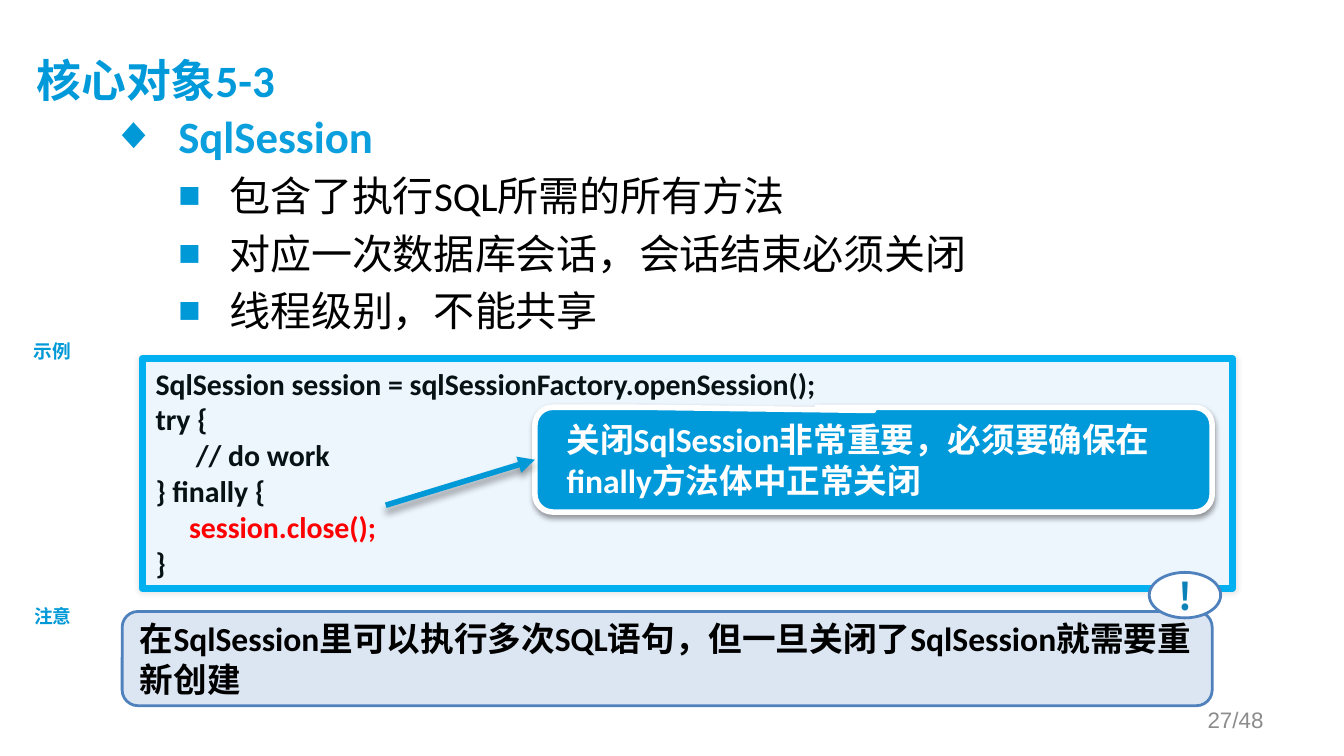
from lxml.etree import SubElement
from pptx import Presentation
from pptx.dml.color import RGBColor
from pptx.enum.shapes import MSO_CONNECTOR, MSO_SHAPE as Kind
from pptx.enum.text import MSO_ANCHOR as Anchor, MSO_AUTO_SIZE as Fit, PP_ALIGN as Align
from pptx.oxml.ns import qn
from pptx.util import Cm, Pt

HEX = {
    "blue": "0099D8", "title": "0099D9", "head": "0B9FDD", "call": "009ADA",
    "cyan": "00B0F0", "pale": "EDF5FD", "code": "071215", "red": "FF0000",
    "note": "DCE6F2", "edge": "4F81BD", "bang": "0C83B8", "grey": "8C8C8C",
    "black": "000000", "white": "FFFFFF",
}
CODE = """SqlSession session = sqlSessionFactory.openSession();
try {
      // do work
} finally {
     session.close();
}"""
POINTS = ["包含了执行SQL所需的所有方法", "对应一次数据库会话，会话结束必须关闭", "线程级别，不能共享"]


def rgb(name):
    return RGBColor.from_string(HEX[name])


def style(para, size, color, bold=True, face="Calibri"):
    for run in para.runs:
        font = run.font
        font.size, font.bold, font.name = Pt(size), bold, face
        font.color.rgb = rgb(color)


def shade(item, alpha, blur, dist, turn):
    """Give a shape or connector an outer shadow; call it after its line is set."""
    effect = SubElement(item._element.spPr, qn("a:effectLst"))
    outer = SubElement(effect, qn("a:outerShdw"), blurRad=str(Pt(blur)), dist=str(Pt(dist)),
                       dir=str(turn * 60000), rotWithShape="0")
    color = SubElement(outer, qn("a:srgbClr"), val=HEX["black"])
    SubElement(color, qn("a:alpha"), val=str(alpha * 1000))


def bullet(para, mark, left, hang, scale):
    props = para._p.get_or_add_pPr()
    props.set("marL", str(Cm(left)))
    props.set("indent", str(-Cm(hang)))
    SubElement(SubElement(props, qn("a:buClr")), qn("a:srgbClr"), val=HEX["blue"])
    SubElement(props, qn("a:buSzPct"), val=str(scale * 1000))
    SubElement(props, qn("a:buFont"), typeface="Arial")
    SubElement(props, qn("a:buChar"), char=mark)


def add_title(slide, text):
    title = slide.shapes.title
    title.left, title.top, title.width, title.height = Cm(0.69), Cm(0.58), Cm(22.73), Cm(1.96)
    frame = title.text_frame
    frame.text = text
    frame.auto_size, frame.vertical_anchor = Fit.NONE, Anchor.MIDDLE
    frame.margin_left = frame.margin_top = 0
    para = frame.paragraphs[0]
    para.alignment = Align.LEFT
    style(para, 24, "title")


def add_text(slide, box, text, wrap=True):
    frame = slide.shapes.add_textbox(*map(Cm, box)).text_frame
    frame.word_wrap = wrap
    frame.text = text
    return frame


def add_label(slide, box, text):
    para = add_text(slide, box, text, wrap=False).paragraphs[0]
    para.alignment = Align.CENTER
    style(para, 10, "blue", face="Arial")


def add_points(slide):
    frame = add_text(slide, (1.85, 1.93, 21.56, 12.34), "\n".join(["SqlSession"] + POINTS))
    head, *rest = frame.paragraphs
    bullet(head, "◆", 1.27, 1.27, 100)
    style(head, 24, "head")
    for para in rest:
        para.level = 1
        bullet(para, "■", 2.23, 0.96, 90)
        para.space_before = Pt(4.4)
        style(para, 22, "black", bold=False)


def add_panel(slide, kind, box, fill, line, width, text, anchor=Anchor.MIDDLE, adj=()):
    panel = slide.shapes.add_shape(kind, *map(Cm, box))
    for spot, value in enumerate(adj):
        panel.adjustments[spot] = value
    panel.fill.solid()
    panel.fill.fore_color.rgb = rgb(fill)
    panel.line.color.rgb = rgb(line)
    panel.line.width = Pt(width)
    frame = panel.text_frame
    frame.word_wrap, frame.vertical_anchor = True, anchor
    frame.text = text
    for para in frame.paragraphs:
        para.alignment = Align.LEFT
    return panel


def add_code(slide):
    panel = add_panel(slide, Kind.ROUNDED_RECTANGLE, (2.69, 6.78, 20.6, 4.34),
                      "pale", "cyan", 4, CODE, Anchor.TOP, [0])
    shade(panel, 10, 3, 0, 0)
    for para in panel.text_frame.paragraphs:
        style(para, 16, "red" if "close" in para.text else "code")


def add_note(slide):
    text = "在SqlSession里可以执行多次SQL语句，但一旦关闭了SqlSession就需要重新创建"
    note = add_panel(slide, Kind.ROUNDED_RECTANGLE, (2.31, 11.56, 20.6, 1.78),
                     "note", "edge", 1.5, text)
    note.shadow.inherit = False
    style(note.text_frame.paragraphs[0], 18, "black")
    bang = add_panel(slide, Kind.OVAL, (21.72, 10.82, 1.35, 0.86), "white", "edge", 1.5, "!")
    bang.shadow.inherit = False
    para = bang.text_frame.paragraphs[0]
    para.alignment = Align.CENTER
    style(para, 20, "bang", face="Noto Sans CJK SC")


def add_callout(slide):
    text = "关闭SqlSession非常重要，必须要确保在finally方法体中正常关闭"
    call = add_panel(slide, Kind.ROUNDED_RECTANGULAR_CALLOUT, (10.11, 7.7, 12.8, 1.98),
                     "call", "white", 3, text, Anchor.TOP, [0, -0.47, 0.17])
    shade(call, 38, 3.1, 1.6, 90)
    para = call.text_frame.paragraphs[0]
    para._p.get_or_add_pPr().set("marL", str(Cm(0.25)))
    style(para, 18, "white")
    return call


def add_arrow(slide, left, top, goal):
    arrow = slide.shapes.add_connector(MSO_CONNECTOR.STRAIGHT, Cm(left), Cm(top),
                                       goal.left, goal.top + goal.height // 2)
    arrow.end_connect(goal, 1)
    arrow.line.color.rgb = rgb("blue")
    arrow.line.width = Pt(3)
    SubElement(arrow.line._get_or_add_ln(), qn("a:tailEnd"), type="triangle")
    shade(arrow, 40, 4, 3, 90)


def add_page(slide, text):
    frame = add_text(slide, (18.21, 13.23, 5.92, 0.76), text)
    frame.vertical_anchor = Anchor.MIDDLE
    para = frame.paragraphs[0]
    para.alignment = Align.RIGHT
    style(para, 12, "grey", bold=False, face="Arial")


def main():
    deck = Presentation()
    deck.slide_width, deck.slide_height = Cm(25.4), Cm(14.29)
    slide = deck.slides.add_slide(deck.slide_layouts[5])
    add_title(slide, "核心对象5-3")
    add_points(slide)
    add_code(slide)
    add_note(slide)
    call = add_callout(slide)
    add_label(slide, (-0.08, 6.3, 2.13, 0.91), "示例")
    add_label(slide, (0.08, 11.3, 1.83, 0.86), "注意")
    add_arrow(slide, 7.29, 9.55, call)
    add_page(slide, "27/48")
    deck.save("out.pptx")


if __name__ == "__main__":
    main()
